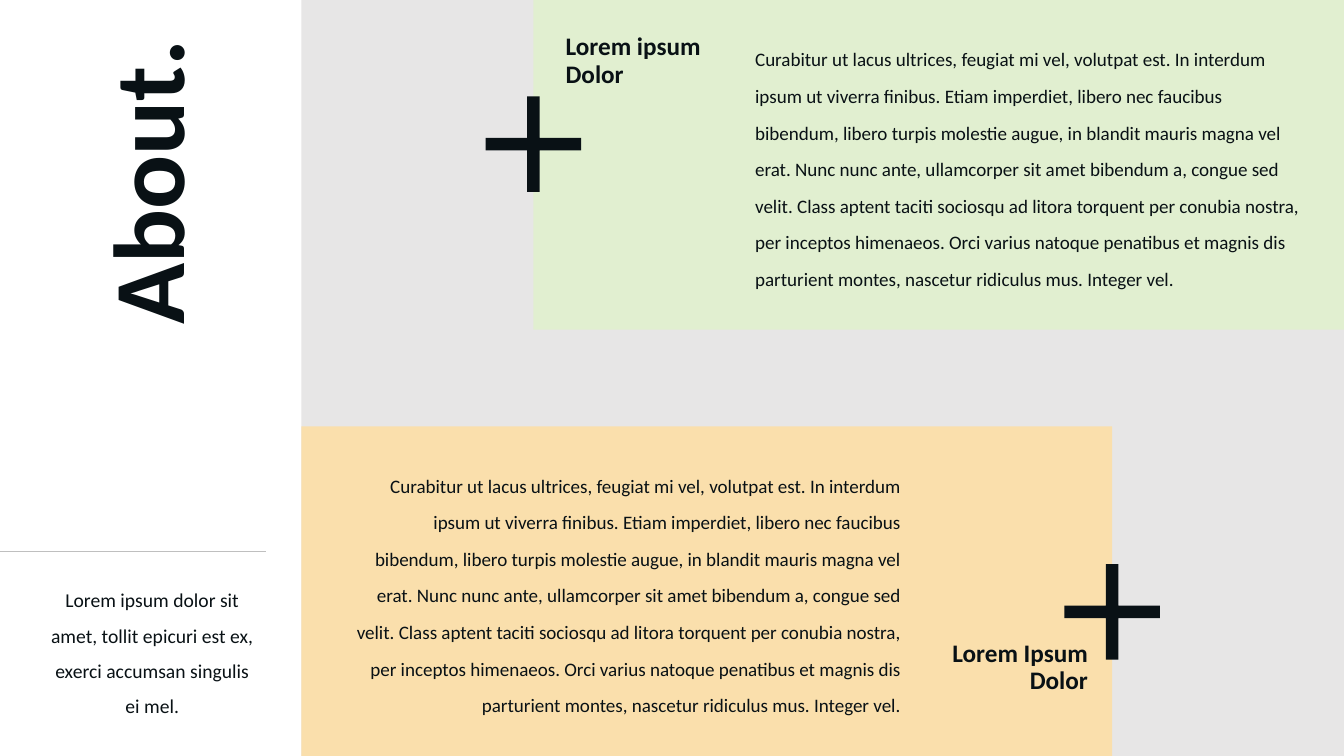
from pptx import Presentation
from pptx.dml.color import RGBColor
from pptx.enum.shapes import MSO_CONNECTOR, MSO_SHAPE
from pptx.enum.text import MSO_ANCHOR, PP_ALIGN
from pptx.oxml.ns import qn
from pptx.util import Inches, Pt

RECT, PLUS = MSO_SHAPE.RECTANGLE, MSO_SHAPE.MATH_PLUS
STRAIGHT = MSO_CONNECTOR.STRAIGHT
TOP, MIDDLE = MSO_ANCHOR.TOP, MSO_ANCHOR.MIDDLE
LEFT, CENTER, RIGHT = PP_ALIGN.LEFT, PP_ALIGN.CENTER, PP_ALIGN.RIGHT

W, H = 13.33, 7.5
SIDEBAR = 2.99
PANEL_W, PANEL_H = 8.04, 3.27
PLUS_SIZE = 1.29
HEADING_W, BODY_W, BODY_H = 1.62, 5.5, 2.83
INK = "091115"
FONT = "Calibri"
INSETS = (0.05, 0.05, 0, 0.05)

INTRO = "Lorem ipsum dolor sit amet, tollit epicuri est ex, exerci accumsan singulis ei mel."
BODY = (
    "Curabitur ut lacus ultrices, feugiat mi vel, volutpat est. In interdum ipsum ut "
    "viverra finibus. Etiam imperdiet, libero nec faucibus bibendum, libero turpis "
    "molestie augue, in blandit mauris magna vel erat. Nunc nunc ante, ullamcorper sit "
    "amet bibendum a, congue sed velit. Class aptent taciti sociosqu ad litora torquent "
    "per conubia nostra, per inceptos himenaeos. Orci varius natoque penatibus et magnis "
    "dis parturient montes, nascetur ridiculus mus. Integer vel."
)


def color(value):
    """Turn a hex string into a colour."""
    return RGBColor.from_string(value)


def add_block(s, kind, x, y, w, h, fill):
    """Add a plain filled shape without outline or shadow."""
    sp = s.shapes.add_shape(kind, Inches(x), Inches(y), Inches(w), Inches(h))
    sp.shadow.inherit = False
    sp.fill.solid()
    sp.fill.fore_color.rgb = color(fill)
    sp.line.fill.background()
    return sp


def add_plus(s, cx, cy):
    """Add a thin plus sign centred on a point."""
    half = PLUS_SIZE / 2
    sp = add_block(s, PLUS, cx - half, cy - half, PLUS_SIZE, PLUS_SIZE, INK)
    sp.adjustments[0] = 0.095


def add_rule(s, x1, x2, y):
    """Add a thin grey horizontal line."""
    line = s.shapes.add_connector(STRAIGHT, Inches(x1), Inches(y), Inches(x2), Inches(y))
    line.line.color.rgb = color("BFBFBF")
    line.line.width = Pt(1)
    sp_pr = line._element.spPr
    sp_pr.append(sp_pr.makeelement(qn("a:effectLst"), {}))


def add_text(s, text, x, y, w, h, size, bold=False, align=LEFT, spacing=1.0,
             before=10, anchor=TOP, insets=INSETS, rotation=0):
    """Add a wrapped one-paragraph text box."""
    sp = s.shapes.add_textbox(Inches(x), Inches(y), Inches(w), Inches(h))
    sp.rotation = rotation
    tf = sp.text_frame
    tf.word_wrap = True
    tf.vertical_anchor = anchor
    tf.margin_left, tf.margin_top, tf.margin_right, tf.margin_bottom = map(Inches, insets)
    p = tf.paragraphs[0]
    p.alignment = align
    p.line_spacing = spacing
    p.space_before = Pt(before)
    r = p.add_run()
    r.text = text
    r.font.name = FONT
    r.font.size = Pt(size)
    r.font.bold = bold
    r.font.color.rgb = color(INK)


def add_topic(s, heading, heading_x, heading_y, body_x, body_y, align):
    """Add a panel's heading and body text."""
    add_text(s, BODY, body_x, body_y, BODY_W, BODY_H, 13.6, align=align, spacing=1.6)
    add_text(s, heading, heading_x, heading_y, HEADING_W, 1, 18, bold=True,
             align=align, spacing=0.9)


def main():
    """Build and save the slide."""
    prs = Presentation()
    prs.slide_width, prs.slide_height = Inches(W), Inches(H)
    s = prs.slides.add_slide(prs.slide_layouts[6])

    green_x, orange_right = W - PANEL_W, SIDEBAR + PANEL_W
    add_block(s, RECT, SIDEBAR, 0, W - SIDEBAR, H, "E7E6E6")
    add_rule(s, 0, 2.64, 5.47)
    add_block(s, RECT, green_x, 0, PANEL_W, PANEL_H, "E1EFD0")
    add_block(s, RECT, SIDEBAR, H - PANEL_H, PANEL_W, PANEL_H, "FADFAC")

    sidebar_insets = (0.1, 0.05, 0.1, 0.05)
    add_text(s, INTRO, 0.39, 5.67, 2.24, 1.63, 14, align=CENTER, spacing=1.5,
             insets=sidebar_insets)
    add_text(s, "About.", -0.98, 1.66, 4.98, 2.24, 72, bold=True, align=RIGHT,
             spacing=0.9, before=0, anchor=MIDDLE, insets=sidebar_insets, rotation=270)

    add_topic(s, "Lorem ipsum Dolor", 5.56, 0.29, 7.44, 0.29, LEFT)
    add_topic(s, "Lorem Ipsum Dolor", 9.17, 6.31, 3.43, 4.52, RIGHT)
    add_plus(s, green_x, 1.43)
    add_plus(s, orange_right, 6.07)
    prs.save("out.pptx")


if __name__ == "__main__":
    main()
